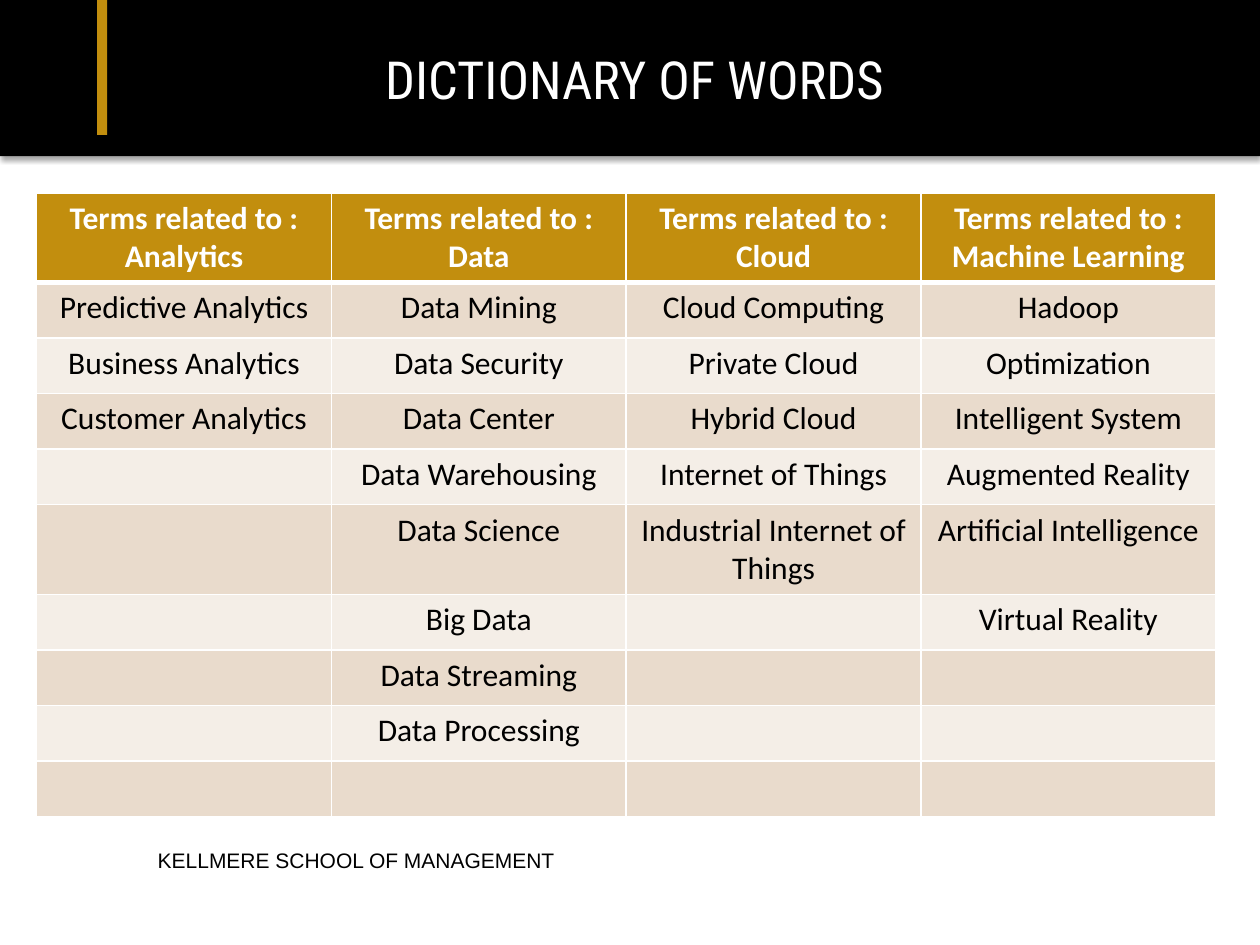
from itertools import zip_longest

from lxml.etree import SubElement as Sub
from pptx import Presentation
from pptx.dml.color import RGBColor
from pptx.enum.shapes import MSO_SHAPE as Geo
from pptx.enum.text import MSO_ANCHOR as Anchor, MSO_AUTO_SIZE as Fit, PP_ALIGN as Align
from pptx.oxml.ns import qn
from pptx.util import Cm, Pt

BLACK, WHITE, GOLD = "000000", "FFFFFF", "C28E0E"
BANDS = ["E9DBCC", "F4EEE7"]
TERMS = {
    "Analytics": ["Predictive Analytics", "Business Analytics", "Customer Analytics"],
    "Data": ["Data Mining", "Data Security", "Data Center", "Data Warehousing",
             "Data Science", "Big Data", "Data Streaming", "Data Processing"],
    "Cloud": ["Cloud Computing", "Private Cloud", "Hybrid Cloud", "Internet of Things",
              "Industrial Internet of Things"],
    "Machine Learning": ["Hadoop", "Optimization", "Intelligent System",
                         "Augmented Reality", "Artificial Intelligence", "Virtual Reality"],
}
HEAD = {"name": "Calibri", "size": Pt(18), "bold": True}
CELL = {**HEAD, "bold": False}


def paint(color, tone):
    color.rgb = RGBColor.from_string(tone)


def style(para, tone, form, align):
    para.alignment = align
    for key, val in form.items():
        setattr(para.font, key, val)
    paint(para.font.color, tone)


def cast(shape):
    """Give the shape a soft shadow straight below it."""
    fx = Sub(shape.element.spPr, qn("a:effectLst"))
    drop = Sub(fx, qn("a:outerShdw"), blurRad=str(Pt(3.1)), dist=str(Pt(1.8)),
               dir="5400000", rotWithShape="0")
    Sub(Sub(drop, qn("a:srgbClr"), val=BLACK), qn("a:alpha"), val="35000")


def block(slide, box, tone):
    rect = slide.shapes.add_shape(Geo.RECTANGLE, *map(Cm, box))
    rect.fill.solid()
    paint(rect.fill.fore_color, tone)
    rect.line.fill.background()
    cast(rect)


def label(hold, box, text, tone, form, align):
    """Place a placeholder on top of all other parts and fill it."""
    hold.left, hold.top, hold.width, hold.height = map(Cm, box)
    hold.element.getparent().append(hold.element)
    frame = hold.text_frame
    frame.text = text
    rules = {"margin_left": 0, "margin_right": 0, "margin_top": 0, "margin_bottom": 0,
             "auto_size": Fit.NONE, "vertical_anchor": Anchor.TOP, "word_wrap": True}
    for key, val in rules.items():
        setattr(frame, key, val)
    para = frame.paragraphs[0]
    para.space_before = Pt(0)
    style(para, tone, form, align)
    return para


def header(slide, box):
    x, y, w, h = box
    block(slide, box, BLACK)
    block(slide, (x + 1.96, y, 0.2, 2.72), GOLD)
    label(slide.shapes.title, (x + 3.18, y + 0.94, 19.23, 1.12), "DICTIONARY OF WORDS",
          WHITE, {"name": "Roboto Condensed", "size": Pt(30)}, Align.CENTER)


def footer(slide, box):
    para = label(slide.placeholders[1], box, "KELLMERE SCHOOL OF MANAGEMENT",
                 BLACK, {"name": "Arial", "size": Pt(12)}, Align.LEFT)
    props = para.runs[0].font and para.line_spacing is None and para._p.get_or_add_pPr()
    props.set("marL", "0")
    props.set("indent", "0")
    Sub(props, qn("a:buNone"))


def edge(cell, base):
    props = cell._tc.get_or_add_tcPr()
    for side, width in {"L": 1, "R": 1, "T": 1, "B": base}.items():
        line = Sub(props, qn("a:ln" + side), w=str(Pt(width)))
        Sub(Sub(line, qn("a:solidFill")), qn("a:srgbClr"), val=WHITE)


def grid(slide, box):
    """Terms by topic, one column each, with a blank last row."""
    heads = ["Terms related to : " + topic for topic in TERMS]
    rows = [heads, *zip_longest(*TERMS.values(), fillvalue=""), [""] * len(heads)]
    table = slide.shapes.add_table(len(rows), len(heads), *map(Cm, box)).table
    for r, words in enumerate(rows):
        tall = any(len(word) > 24 for word in words)
        table.rows[r].height = Cm(1.63 if tall else 1.12)
        for c, word in enumerate(words):
            cell = table.cell(r, c)
            cell.text = word
            edge(cell, 1 if r else 3)
            cell.fill.solid()
            paint(cell.fill.fore_color, BANDS[(r - 1) % 2] if r else GOLD)
            style(cell.text_frame.paragraphs[0], BLACK if r else WHITE,
                  CELL if r else HEAD, Align.CENTER)


def main():
    deck = Presentation()
    deck.slide_width, deck.slide_height = Cm(25.4), Cm(19.05)
    slide = deck.slides.add_slide(deck.slide_layouts[1])
    header(slide, (0, 0, 25.4, 3.15))
    grid(slide, (0.74, 3.89, 23.77, 12.52))
    footer(slide, (3.18, 17.09, 14.17, 0.64))
    deck.save("out.pptx")


if __name__ == "__main__":
    main()
